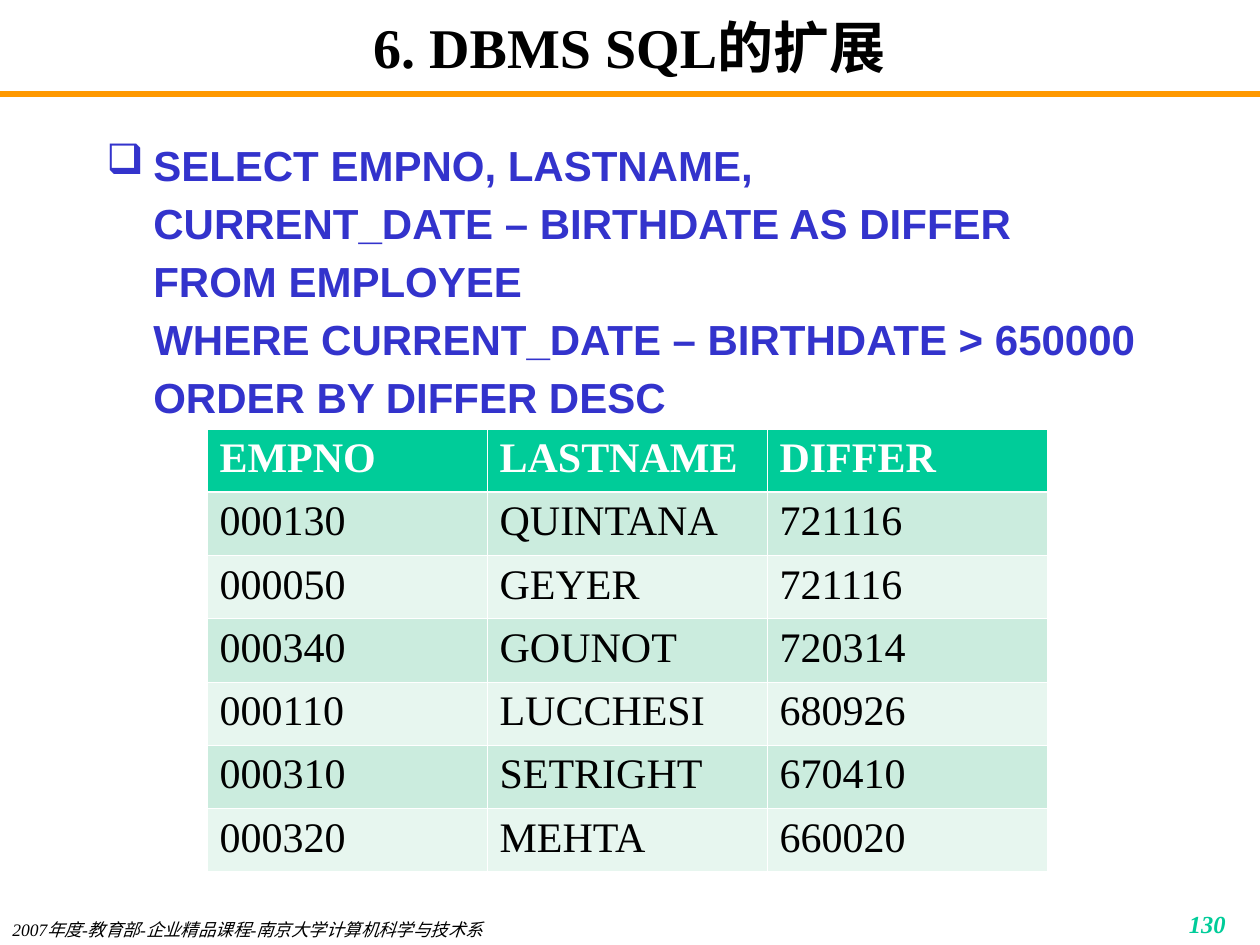
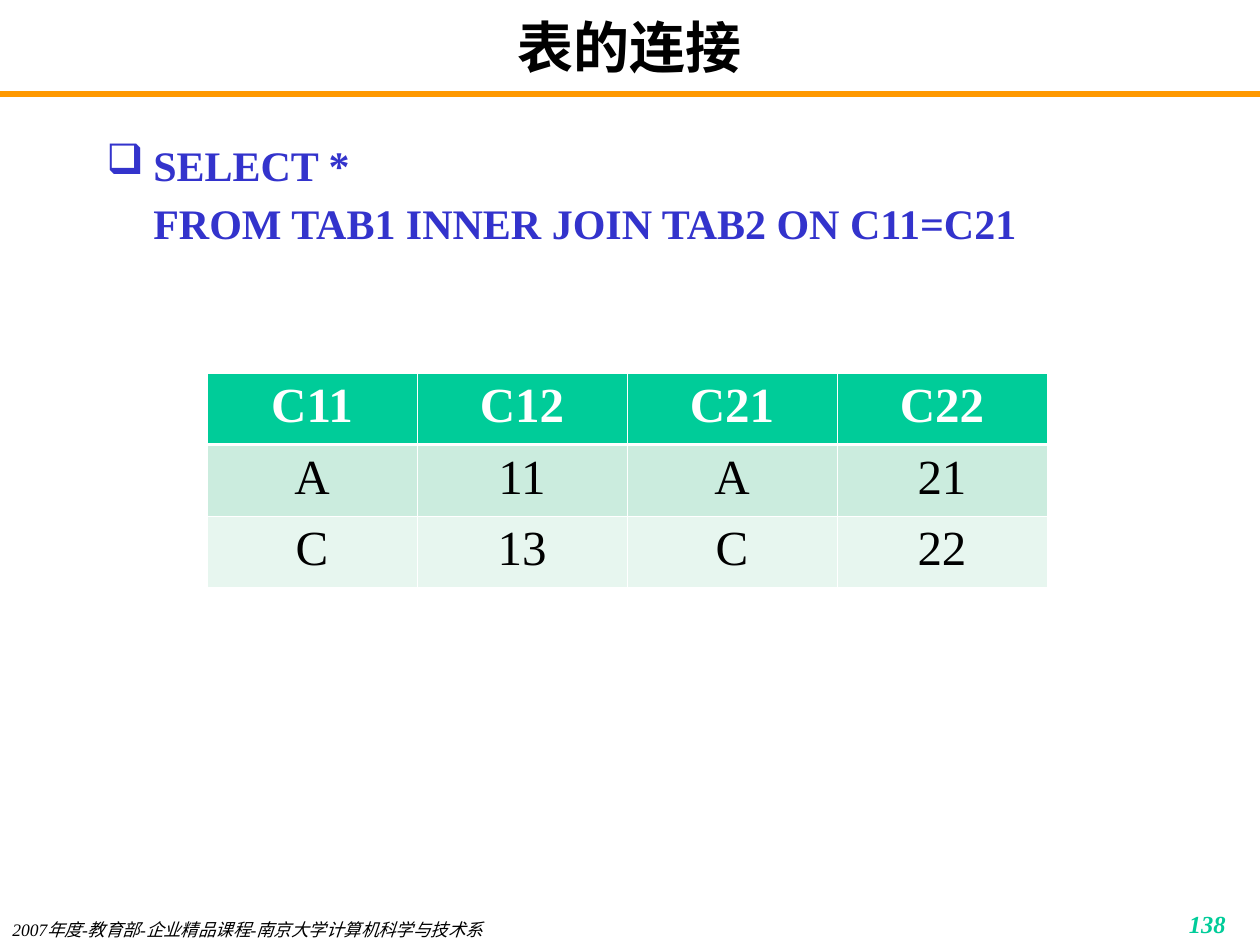
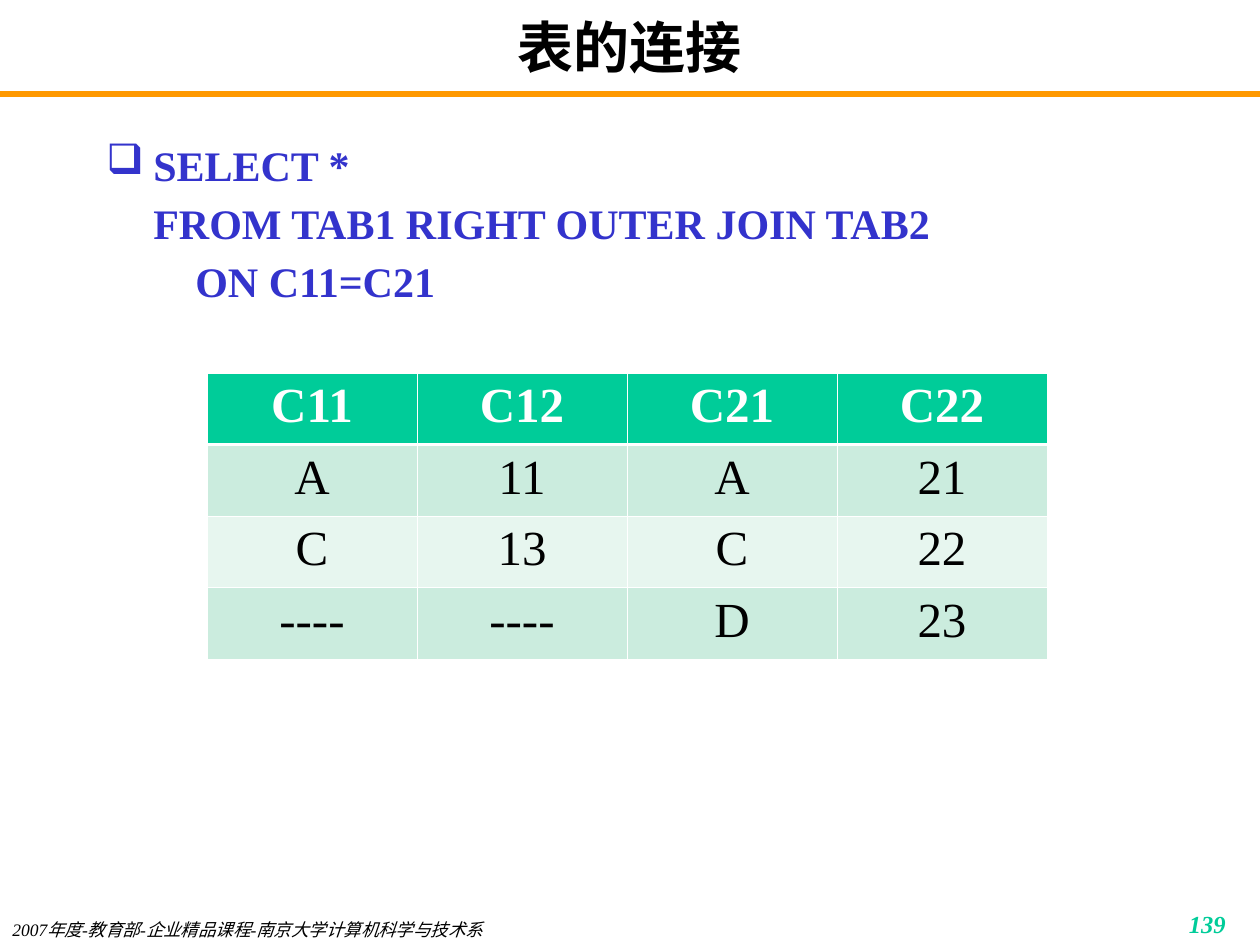
from lxml.etree import SubElement
from pptx import Presentation
from pptx.dml.color import RGBColor
from pptx.enum.shapes import MSO_CONNECTOR as Connector
from pptx.enum.text import MSO_ANCHOR as Anchor, MSO_AUTO_SIZE as AutoSize, PP_ALIGN as Align
from pptx.oxml.ns import qn
from pptx.util import Emu, Pt

PX_PER_INCH = 126
PAGE_WIDTH, PAGE_HEIGHT = 1260, 945

BLACK = RGBColor(0x00, 0x00, 0x00)
WHITE = RGBColor(0xFF, 0xFF, 0xFF)
ORANGE = RGBColor(0xFF, 0x99, 0x00)
BLUE = RGBColor(0x33, 0x33, 0xCC)
GREEN = RGBColor(0x00, 0xCC, 0x99)
BANDS = (RGBColor(0xCB, 0xEC, 0xDE), RGBColor(0xE7, 0xF6, 0xEF))

SERIF, SANS = "Times New Roman", "Arial"
FOOTER = "2007年度-教育部-企业精品课程-南京大学计算机科学与技术系"

# Boxes as left, top, width, height
TITLE_BOX = (94, 10, 1071, 73)
QUERY_BOX = (94, 126, 1071, 746)
FOOTER_BOX = (0, 919, 789, 26)
NUMBER_BOX = (976, 903, 262, 32)
RULE_TOP = 94
QUERY_INDENT = 47


def px(length):
    return Emu(round(length * 914400 / PX_PER_INCH))


def write(frame, text, size=24, font=SERIF, color=BLACK, bold=False, italic=False,
          align=Align.LEFT):
    """Fill a text frame with one paragraph; "\\v" breaks a line."""
    para = frame.paragraphs[0]
    para.text = text
    para.alignment = align
    for span in para.runs:
        span.font.size = Pt(size)
        span.font.name = font
        span.font.bold = bold
        span.font.italic = italic
        span.font.color.rgb = color
    return para


def add_text(page, box, text, inset=6, **style):
    frame = page.shapes.add_textbox(*map(px, box)).text_frame
    frame.word_wrap = True
    frame.margin_top = frame.margin_bottom = px(inset)
    return write(frame, text, **style)


def add_title(page, box, text):
    title = page.shapes.title
    title.left, title.top, title.width, title.height = map(px, box)
    frame = title.text_frame
    frame.auto_size = AutoSize.NONE
    frame.vertical_anchor = Anchor.MIDDLE
    write(frame, text, size=32, bold=True, align=Align.CENTER)


def add_rule(page, top):
    rule = page.shapes.add_connector(Connector.STRAIGHT, 0, px(top), px(PAGE_WIDTH), px(top))
    rule.line.color.rgb = ORANGE
    rule.line.width = Pt(3)
    SubElement(rule._element.spPr, qn("a:effectLst"))


def add_query(page, box, lines, font):
    para = add_text(page, box, "\v".join(lines), font=font, color=BLUE, bold=True)
    # Hanging box bullet
    props = para._p.get_or_add_pPr()
    props.set("marL", str(px(QUERY_INDENT)))
    props.set("indent", str(-px(QUERY_INDENT)))
    bullet_color = SubElement(props, qn("a:buClr"))
    SubElement(bullet_color, qn("a:srgbClr"), val=str(BLUE))
    SubElement(props, qn("a:buChar"), char="❑")
    para.line_spacing = 1.15


def add_borders(cell, **widths):
    props = cell._tc.get_or_add_tcPr()
    for side in "LRTB":
        line = SubElement(props, qn(f"a:ln{side}"), w=str(Pt(widths.get(side, 0.45))))
        fill = SubElement(line, qn("a:solidFill"))
        SubElement(fill, qn("a:srgbClr"), val=str(WHITE))


def add_result(page, box, rows, size, align):
    """Place a result table with equal columns and rows in the box."""
    table = page.shapes.add_table(len(rows), len(rows[0]), *map(px, box)).table
    table.horz_banding = False
    for column in table.columns:
        column.width = px(box[2] / len(rows[0]))
    for r, values in enumerate(rows):
        table.rows[r].height = px(box[3] / len(rows))
        header = r == 0
        for c, value in enumerate(values):
            cell = table.cell(r, c)
            # The line under the header is heavier
            add_borders(cell, **({"B": 1.5} if header else {"T": 1.5} if r == 1 else {}))
            cell.fill.solid()
            cell.fill.fore_color.rgb = GREEN if header else BANDS[(r - 1) % 2]
            write(cell.text_frame, value, size=size, bold=header, align=align,
                  color=WHITE if header else BLACK)


def add_query_page(deck, number, title, lines, rows, result_box, font=SERIF, size=28,
                   align=Align.CENTER):
    page = deck.slides.add_slide(deck.slide_layouts[5])
    add_rule(page, RULE_TOP)
    add_title(page, TITLE_BOX, title)
    add_query(page, QUERY_BOX, lines, font)
    add_text(page, FOOTER_BOX, FOOTER, inset=0, size=10, italic=True)
    add_text(page, NUMBER_BOX, str(number), size=14, color=GREEN, bold=True, italic=True,
             align=Align.RIGHT)
    add_result(page, result_box, rows, size, align)


def main():
    deck = Presentation()
    deck.slide_width, deck.slide_height = px(PAGE_WIDTH), px(PAGE_HEIGHT)

    # Date difference
    add_query_page(
        deck, 130, "6. DBMS SQL的扩展",
        ["SELECT EMPNO, LASTNAME,",
         "CURRENT_DATE – BIRTHDATE AS DIFFER",
         "FROM EMPLOYEE",
         "WHERE CURRENT_DATE – BIRTHDATE > 650000",
         "ORDER BY DIFFER DESC"],
        [("EMPNO", "LASTNAME", "DIFFER"),
         ("000130", "QUINTANA", "721116"),
         ("000050", "GEYER", "721116"),
         ("000340", "GOUNOT", "720314"),
         ("000110", "LUCCHESI", "680926"),
         ("000310", "SETRIGHT", "670410"),
         ("000320", "MEHTA", "660020")],
        (207, 429, 840, 443), font=SANS, size=24, align=Align.LEFT)

    # Joins: the outer join adds the unmatched row
    joined = [("C11", "C12", "C21", "C22"), ("A", "11", "A", "21"), ("C", "13", "C", "22")]
    add_query_page(
        deck, 138, "表的连接",
        ["SELECT *", "FROM TAB1 INNER JOIN TAB2 ON C11=C21"],
        joined, (207, 373, 840, 214))
    add_query_page(
        deck, 139, "表的连接",
        ["SELECT *", "FROM TAB1 RIGHT OUTER JOIN TAB2", "    ON C11=C21"],
        joined + [("----", "----", "D", "23")], (207, 373, 840, 286))

    deck.save("out.pptx")


if __name__ == "__main__":
    main()
